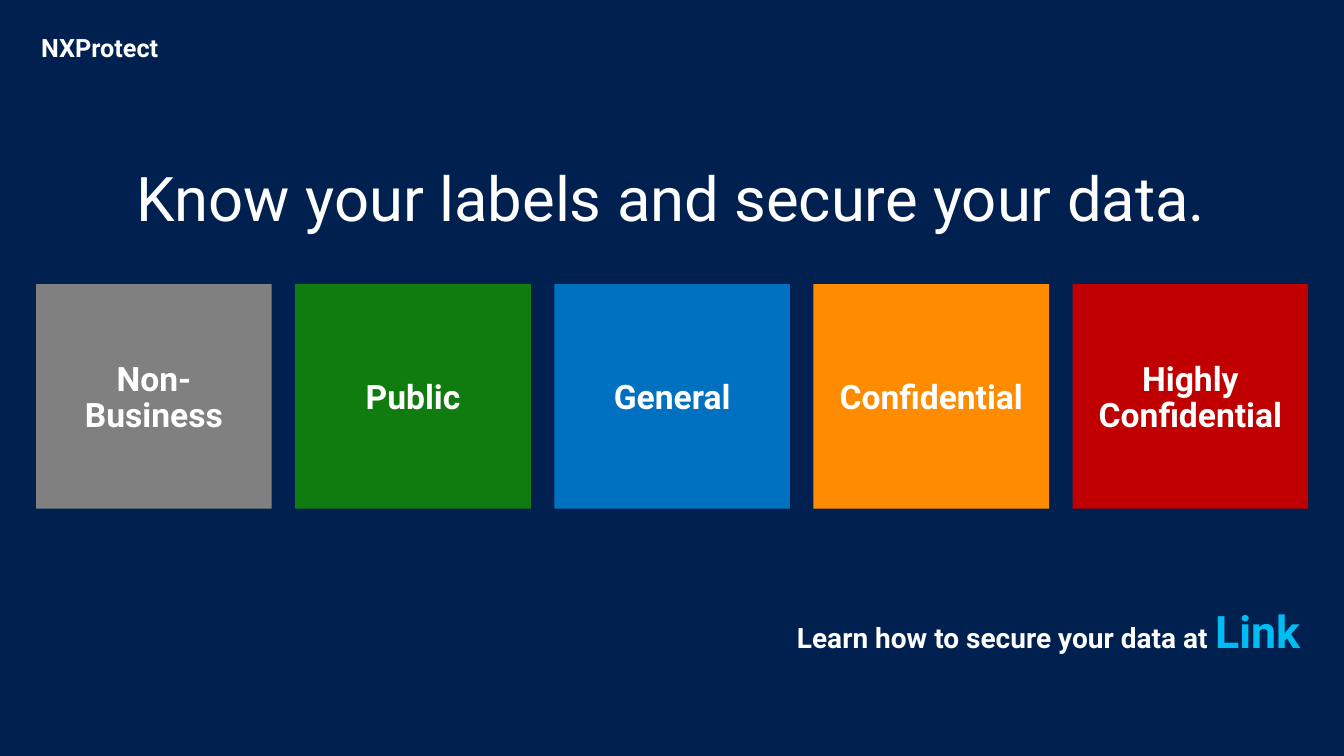
from pptx import Presentation
from pptx.dml.color import RGBColor
from pptx.enum.shapes import MSO_SHAPE
from pptx.enum.text import MSO_ANCHOR, MSO_AUTO_SIZE, PP_ALIGN
from pptx.util import Cm, Pt

COLOURS = {
    "navy": "002050",
    "white": "FFFFFF",
    "cyan": "00BCF2",
    "grey": "808080",
    "green": "107C10",
    "blue": "0070C0",
    "orange": "FF8C00",
    "red": "C00000",
}


def write(box, text, size, colour="white", bold=True, align=PP_ALIGN.LEFT,
          anchor=MSO_ANCHOR.TOP, insets=(0.25, 0.13, 0.25, 0.13),
          line_spacing=0.9, before=0, after=0):
    """Format the text frame of a box and add one span to its first paragraph."""
    frame = box.text_frame
    frame.word_wrap = True
    frame.auto_size = MSO_AUTO_SIZE.NONE
    frame.vertical_anchor = anchor
    (frame.margin_left, frame.margin_top,
     frame.margin_right, frame.margin_bottom) = [Cm(inset) for inset in insets]
    para = frame.paragraphs[0]
    para.alignment = align
    para.line_spacing = line_spacing
    para.space_before = Pt(before)
    para.space_after = Pt(after)
    span = para.add_run()
    span.text = text
    span.font.name = "Roboto"
    span.font.size = Pt(size)
    span.font.bold = bold
    span.font.color.rgb = RGBColor.from_string(COLOURS[colour])


deck = Presentation()
deck.slide_width = Cm(33.87)
deck.slide_height = Cm(19.05)
page = deck.slides.add_slide(deck.slide_layouts[5])

# Background
page.background.fill.solid()
page.background.fill.fore_color.rgb = RGBColor.from_string(COLOURS["navy"])

# Title
title = page.shapes.title
title.left, title.top, title.width, title.height = Cm(0.56), Cm(3.91), Cm(32.74), Cm(2.13)
write(title, "Know your labels and secure your data.", 44, bold=False,
      align=PP_ALIGN.CENTER, line_spacing=1.0)

# Label tiles, evenly spaced from left to right
labels = [
    ("Non-Business", "grey"),
    ("Public", "green"),
    ("General", "blue"),
    ("Confidential", "orange"),
    ("Highly Confidential", "red"),
]
for column, (label, colour) in enumerate(labels):
    tile = page.shapes.add_shape(MSO_SHAPE.RECTANGLE, Cm(0.91 + 6.53 * column),
                                 Cm(7.16), Cm(5.94), Cm(5.66))
    tile.shadow.inherit = False
    tile.fill.solid()
    tile.fill.fore_color.rgb = RGBColor.from_string(COLOURS[colour])
    tile.line.fill.background()
    write(tile, label, 24, align=PP_ALIGN.CENTER, anchor=MSO_ANCHOR.MIDDLE,
          insets=(0.51, 0.51, 0.51, 0.41))

# Call to action, with the last word larger
action = page.shapes.add_textbox(Cm(7.54), Cm(15.11), Cm(25.48), Cm(1.75))
for text, size, colour in [("Learn how to secure your data at ", 20, "white"),
                           ("Link", 32, "cyan")]:
    write(action, text, size, colour, align=PP_ALIGN.RIGHT,
          insets=(0.25, 0.25, 0.25, 0.25), before=6, after=6)

# Campaign name
campaign = page.shapes.add_textbox(Cm(0.53), Cm(0.48), Cm(6.02), Cm(1.52))
write(campaign, "NXProtect", 18, insets=(0.51, 0.41, 0.51, 0.41), after=6)

deck.save("out.pptx")
